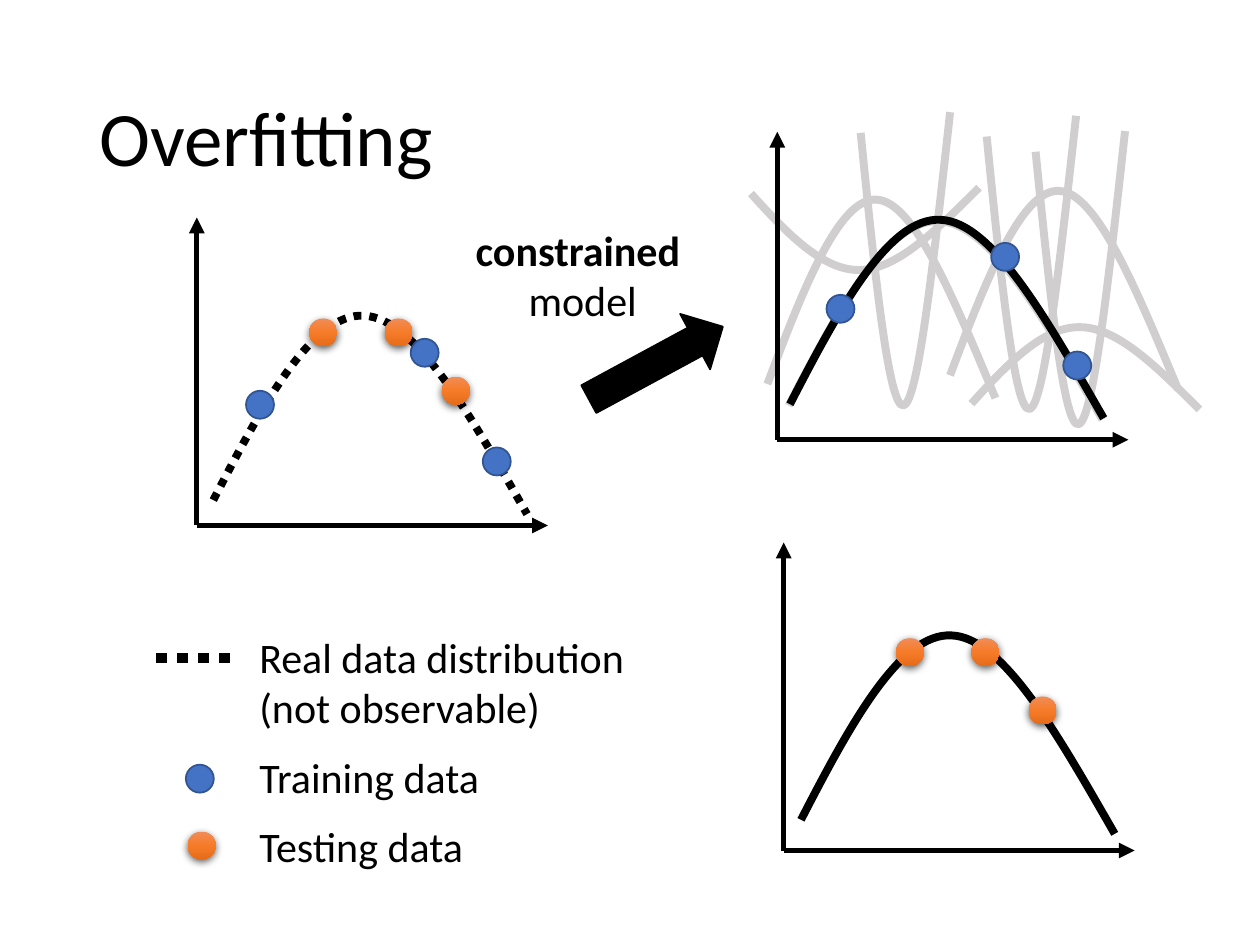
from dataclasses import dataclass

from lxml import etree
from pptx import Presentation
from pptx import util as u
from pptx.dml import color
from pptx.enum import dml, shapes, text
from pptx.oxml import ns

Pt = u.Pt
FONT = "Calibri"
COLORS = {
    "ink": "000000",
    "rejected": "D0CECE",
    "training": "4472C4",
    "training_edge": "325491",
    "testing_top": "F18C57",
    "testing_middle": "F67B28",
    "testing_bottom": "E56C19",
}
ARCH = [(0, 0.93), (0.155, 0.46), (0.315, -0.005), (0.48, 0.01),
        (0.645, 0.02), (0.82, 0.51), (1, 1)]
ARCH_WIDTH, ARCH_HEIGHT, ARCH_RISE = 179.3, 114.5, 121
AXIS_WIDTH, AXIS_HEIGHT = 200.6, 176
DOT = 16
TRAINING_DOTS = [(28.1, 77), (122.2, 106.7), (163.4, 44.6)]
TESTING_DOTS = [(140, 85), (107.3, 118.3), (64.2, 118.3)]


@dataclass
class Curve:
    left: float
    top: float
    width: float
    height: float
    valley: bool = False
    color: str = "rejected"
    dotted: bool = False


@dataclass
class Plot:
    left: float
    base: float
    arch_inset: float
    lift: float
    dotted: bool
    training: bool
    testing: bool


@dataclass
class LegendEntry:
    caption: str
    top: float
    height: float


REJECTED_MODELS = [
    Curve(438.5, 113, 130.3, 114.5),
    Curve(450.7, 125.3, ARCH_WIDTH, ARCH_HEIGHT),
    Curve(542.9, 108, 130.3, 114.5),
    Curve(555.1, 186.5, 130.3, 47.5),
    Curve(429.1, 107.3, 130.3, 47.5, valley=True),
    Curve(491.8, 64.1, 51.1, 169.2, valley=True),
    Curve(563.8, 66.2, 51.1, 169.2, valley=True),
    Curve(591.8, 74.9, 51.1, 169.2, valley=True),
]
PLOTS = [
    Plot(444.2, 251.3, 7.2, 5.8, False, True, False),
    Plot(447.8, 486, 9.9, 3, False, False, True),
    Plot(112.5, 300.3, 9.4, 0, True, True, True),
]
LEGEND = [
    LegendEntry("Real data distribution (not observable)", 357.1, 65.5),
    LegendEntry("Training data", 426.2, 36),
    LegendEntry("Testing data", 465.1, 36),
]


def rgb(name: str) -> color.RGBColor:
    return color.RGBColor.from_string(COLORS[name])


def style_line(line, name: str, width: float, dotted: bool = False) -> None:
    line.color.rgb = rgb(name)
    line.width = Pt(width)
    if dotted:
        line.dash_style = dml.MSO_LINE.ROUND_DOT


def add_color(parent, name: str):
    return etree.SubElement(parent, ns.qn("a:srgbClr"), val=COLORS[name])


def draw_curve(slide, curve: Curve) -> None:
    points = [(Pt(curve.left + x * curve.width),
               Pt(curve.top + (1 - y if curve.valley else y) * curve.height))
              for x, y in ARCH]
    builder = slide.shapes.build_freeform(*points[0])
    builder.add_line_segments(points[1:], close=False)
    arch = builder.convert_to_shape()
    arch.shadow.inherit = False
    arch.fill.background()
    style_line(arch.line, curve.color, 4.5, curve.dotted)
    outline = arch._element.spPr.find(".//" + ns.qn("a:path"))
    segments = outline.findall(ns.qn("a:lnTo"))
    for start in range(0, len(segments), 3):
        bezier = etree.SubElement(outline, ns.qn("a:cubicBezTo"))
        for segment in segments[start:start + 3]:
            bezier.append(segment[0])
            outline.remove(segment)


def draw_line(slide, start: tuple, end: tuple, width: float = 3,
              arrow: bool = False, dotted: bool = False) -> None:
    stroke = slide.shapes.add_connector(
        shapes.MSO_CONNECTOR.STRAIGHT, *(Pt(v) for v in (*start, *end)))
    style_line(stroke.line, "ink", width, dotted)
    if arrow:
        etree.SubElement(stroke.line._get_or_add_ln(), ns.qn("a:tailEnd"), type="triangle")
    etree.SubElement(stroke._element.spPr, ns.qn("a:effectLst"))


def draw_dot(slide, left: float, top: float):
    dot = slide.shapes.add_shape(
        shapes.MSO_SHAPE.OVAL, Pt(left), Pt(top), Pt(DOT), Pt(DOT))
    dot.shadow.inherit = False
    return dot


def draw_training(slide, left: float, top: float) -> None:
    dot = draw_dot(slide, left, top)
    dot.fill.solid()
    dot.fill.fore_color.rgb = rgb("training")
    style_line(dot.line, "training_edge", 1)


def draw_testing(slide, left: float, top: float) -> None:
    dot = draw_dot(slide, left, top)
    dot.line.fill.background()
    dot.fill.gradient()
    dot.fill.gradient_angle = 270
    stops = dot._element.spPr.find(".//" + ns.qn("a:gsLst"))
    stops.clear()
    for share, name in ((0, "testing_top"), (50, "testing_middle"), (100, "testing_bottom")):
        add_color(etree.SubElement(stops, ns.qn("a:gs"), pos=str(share * 1000)), name)
    effects = dot._element.spPr.find(ns.qn("a:effectLst"))
    shade = etree.SubElement(
        effects, ns.qn("a:outerShdw"), blurRad=str(Pt(4.5)), dist=str(Pt(1.5)),
        dir="5400000", algn="ctr", rotWithShape="0")
    etree.SubElement(add_color(shade, "ink"), ns.qn("a:alpha"), val="63000")


def draw_plot(slide, plot: Plot) -> None:
    base = plot.base - plot.lift
    draw_curve(slide, Curve(plot.left + plot.arch_inset, base - ARCH_RISE,
                            ARCH_WIDTH, ARCH_HEIGHT, color="ink", dotted=plot.dotted))
    origin = (plot.left, plot.base)
    draw_line(slide, origin, (plot.left + AXIS_WIDTH, plot.base), arrow=True)
    draw_line(slide, origin, (plot.left, plot.base - AXIS_HEIGHT), arrow=True)
    for shown, dots, draw in ((plot.training, TRAINING_DOTS, draw_training),
                              (plot.testing, TESTING_DOTS, draw_testing)):
        if shown:
            for x, y in dots:
                draw(slide, plot.left + x, base - y)


def add_run(paragraph, words: str, size: float, bold: bool = False) -> None:
    run = paragraph.add_run()
    run.text = words
    run.font.name, run.font.size, run.font.bold = FONT, Pt(size), bold
    run.font.color.rgb = rgb("ink")


def add_text_frame(slide, left: float, top: float, width: float, height: float):
    frame = slide.shapes.add_textbox(Pt(left), Pt(top), Pt(width), Pt(height)).text_frame
    frame.word_wrap = True
    return frame


def draw_title(slide) -> None:
    title = slide.shapes.title
    title.left, title.top, title.width, title.height = Pt(49.5), Pt(28.8), Pt(621), Pt(104.4)
    title.text_frame.vertical_anchor = text.MSO_ANCHOR.MIDDLE
    heading = title.text_frame.paragraphs[0]
    heading.alignment = text.PP_ALIGN.LEFT
    heading.line_spacing = 0.9
    add_run(heading, "Overfitting", 44)


def draw_legend(slide) -> None:
    draw_line(slide, (89.3, 376), (136, 376), width=6, dotted=True)
    draw_training(slide, 106.2, 437)
    draw_testing(slide, 107.3, 475.2)
    for entry in LEGEND:
        frame = add_text_frame(slide, 141.1, entry.top, 224, entry.height)
        add_run(frame.paragraphs[0], entry.caption, 24)


def draw_constraint(slide) -> None:
    frame = add_text_frame(slide, 239, 124.6, 188, 65.5)
    for paragraph, words, bold in ((frame.paragraphs[0], "constrained ", True),
                                   (frame.add_paragraph(), "model", False)):
        paragraph.alignment = text.PP_ALIGN.CENTER
        add_run(paragraph, words, 24, bold)
    arrow = slide.shapes.add_shape(
        shapes.MSO_SHAPE.RIGHT_ARROW, Pt(331.2), Pt(189.4), Pt(87.1), Pt(36))
    arrow.rotation = 331.6
    arrow.shadow.inherit = False
    arrow.fill.solid()
    arrow.fill.fore_color.rgb = rgb("ink")
    style_line(arrow.line, "ink", 1)


def main() -> None:
    deck = Presentation()
    deck.slide_width, deck.slide_height = Pt(720), Pt(540)
    slide = deck.slides.add_slide(deck.slide_layouts[5])
    draw_title(slide)
    for model in REJECTED_MODELS:
        draw_curve(slide, model)
    for plot in PLOTS:
        draw_plot(slide, plot)
    draw_legend(slide)
    draw_constraint(slide)
    deck.save("out.pptx")


if __name__ == "__main__":
    main()
